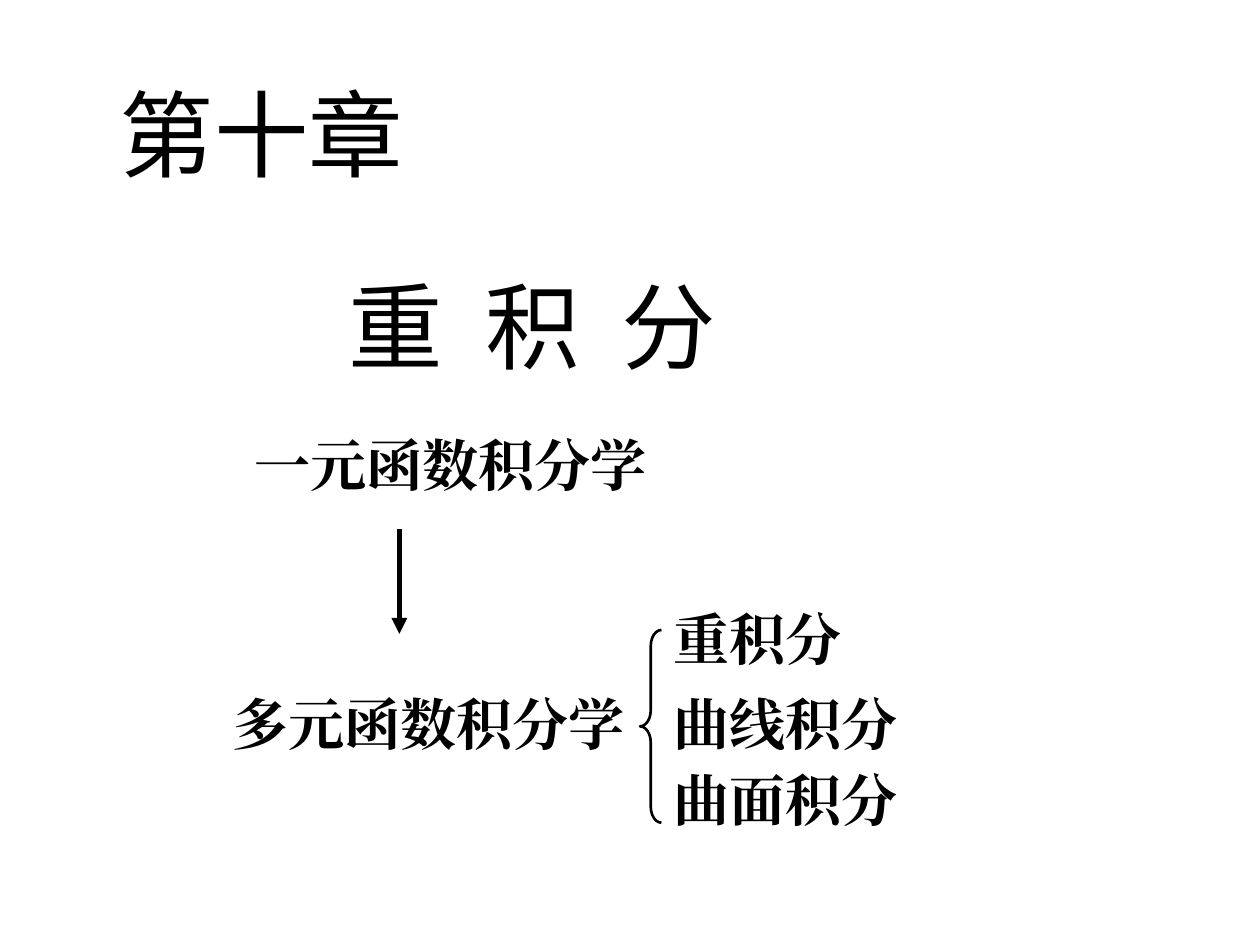
import pptx
import pptx.util
from lxml import etree
from pptx.dml.color import RGBColor
from pptx.enum.shapes import MSO_CONNECTOR, MSO_SHAPE
from pptx.enum.text import MSO_ANCHOR, MSO_AUTO_SIZE, PP_ALIGN
from pptx.oxml.ns import qn
from pptx.util import Inches, Pt

BLACK = RGBColor(0, 0, 0)
HEADING_FONT = "Noto Sans CJK SC"
BODY_FONT = "Times New Roman"

CHAPTER = "第十章"
SUBJECT = "重 积 分"
TOPICS = [  # text, left, top, width
    ("一元函数积分学", 1.92, 3.37, 3.75),
    ("多元函数积分学", 1.75, 5.42, 3.5),
    ("重积分", 5.25, 4.75, 1.83),
    ("曲线积分", 5.25, 5.42, 2),
    ("曲面积分", 5.25, 6.03, 2.17),
]


def format_text(tf, text, font, size, bold=False):
    tf.text = text
    p = tf.paragraphs[0]
    p.alignment = PP_ALIGN.LEFT
    r = p.runs[0]
    r.font.size = Pt(size)
    r.font.bold = bold
    r.font.color.rgb = BLACK
    r.font.name = font
    ea = etree.SubElement(r._r.get_or_add_rPr(), qn("a:ea"))
    ea.set("typeface", font)
    return r


def add_label(s, text, left, top, width, height, font, size, bold=False):
    tf = s.shapes.add_textbox(*map(Inches, (left, top, width, height))).text_frame
    tf.word_wrap = True
    tf.auto_size = MSO_AUTO_SIZE.SHAPE_TO_FIT_TEXT
    return format_text(tf, text, font, size, bold)


def add_arrow(s, x, top, bottom):
    line = s.shapes.add_connector(
        MSO_CONNECTOR.STRAIGHT, Inches(x), Inches(top), Inches(x), Inches(bottom))
    line.line.color.rgb = BLACK
    line.line.width = Pt(3)
    etree.SubElement(line.line._get_or_add_ln(), qn("a:tailEnd")).set("type", "triangle")
    etree.SubElement(line._element.spPr, qn("a:effectLst"))


def add_brace(s, left, top, width, height):
    brace = s.shapes.add_shape(
        MSO_SHAPE.LEFT_BRACE, *map(Inches, (left, top, width, height)))
    brace.adjustments[0] = 0.75
    brace.shadow.inherit = False
    brace.fill.background()
    brace.line.color.rgb = BLACK
    brace.line.width = Pt(1.5)


prs = pptx.Presentation()
prs.slide_width, prs.slide_height = Inches(10), Inches(7.5)
s = prs.slides.add_slide(prs.slide_layouts[5])

title = s.shapes.title
title.left, title.top, title.width, title.height = map(Inches, (0.85, 0.55, 2.91, 1))
title.text_frame.vertical_anchor = MSO_ANCHOR.MIDDLE
format_text(title.text_frame, CHAPTER, HEADING_FONT, 54)

for text, left, top, width in TOPICS:
    add_label(s, text, left, top, width, 0.64, BODY_FONT, 32, bold=True)

add_arrow(s, 3.17, 4.2, 5.03)
add_brace(s, 5.08, 5, 0.17, 1.53)

r = add_label(s, SUBJECT, 2.67, 2.08, 3.29, 1, HEADING_FONT, 54)
r._r.get_or_add_rPr().set("spc", "600")  # widens the gaps between characters

prs.save("out.pptx")
